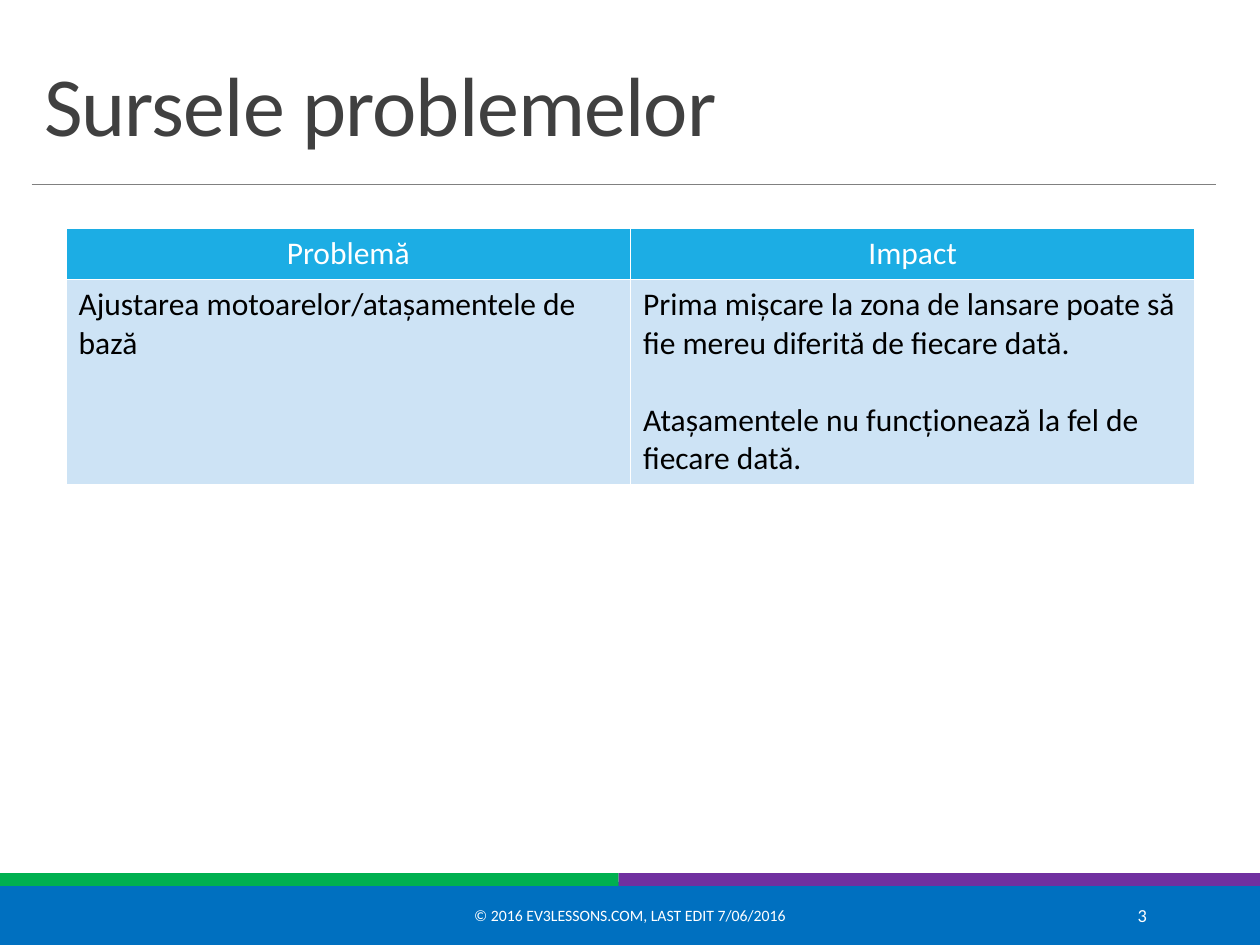
import pptx
import pptx.util
import pptx.dml.color
import pptx.enum.shapes
import pptx.enum.text
import pptx.oxml
import pptx.oxml.ns
from lxml import etree

Pt = pptx.util.Pt
ALIGN = pptx.enum.text.PP_ALIGN
ANCHOR = pptx.enum.text.MSO_ANCHOR

# Content
TITLE = "Sursele problemelor"
ROWS = [
    [["Problemă"], ["Impact"]],
    [["Ajustarea motoarelor/atașamentele de bază"],
     ["Prima mișcare la zona de lansare poate să fie mereu diferită de fiecare dată.",
      "Atașamentele nu funcționează la fel de fiecare dată."]],
]
# Row styles: fill, text colour, alignment, height
ROW_STYLES = [("1CADE4", "FFFFFF", ALIGN.CENTER, 29.2),
              ("CDE3F5", "000000", ALIGN.LEFT, 117.5)]
# Bars: left, top, width, height, colour
BARS = [(0, 504, 720, 36, "0070C0"),
        (0, 499, 353.5, 7.2, "00B050"),
        (353.5, 499, 366.5, 7.2, "7030A0")]
# Footers: text, left, width, size, alignment
FOOTERS = [("© 2016 EV3LESSONS.COM, LAST EDIT 7/06/2016", 217.4, 285.1, 9, ALIGN.CENTER),
           ("3", 584.6, 77.8, 10.5, ALIGN.RIGHT)]
PARAGRAPH_GAP = 22


def color(value):
    return pptx.dml.color.RGBColor.from_string(value)


def points(*lengths):
    return [Pt(length) for length in lengths]


def write(frame, texts, size, ink, align, gap=0):
    """Fill a text frame with one paragraph for each text."""
    for index, text in enumerate(texts):
        para = frame.add_paragraph() if index else frame.paragraphs[0]
        span = para.add_run()
        formats = {"text": text, "font.size": Pt(size), "font.name": "Calibri"}
        for name, value in formats.items():
            target = span.font if name.startswith("font.") else span
            setattr(target, name.replace("font.", ""), value)
        span.font.color.rgb = color(ink)
        para.alignment = align
        if index:
            para.space_before = Pt(gap)


def set_borders(cell, ink, width):
    properties = cell._tc.get_or_add_tcPr()
    for position, side in enumerate(("lnL", "lnR", "lnT", "lnB")):
        border = pptx.oxml.parse_xml(
            f'<a:{side} {pptx.oxml.ns.nsdecls("a")} w="{Pt(width)}"><a:solidFill>'
            f'<a:srgbClr val="{ink}"/></a:solidFill></a:{side}>')
        properties.insert(position, border)


deck = pptx.Presentation()
deck.slide_width, deck.slide_height = points(720, 540)
page = deck.slides.add_slide(deck.slide_layouts[5])

# Bottom bars
for left, top, width, height, fill in BARS:
    bar = page.shapes.add_shape(pptx.enum.shapes.MSO_SHAPE.RECTANGLE,
                                *points(left, top, width, height))
    bar.shadow.inherit = False
    bar.fill.solid()
    bar.fill.fore_color.rgb = color(fill)
    bar.line.fill.background()

# Rule below the title
rule = page.shapes.add_connector(pptx.enum.shapes.MSO_CONNECTOR.STRAIGHT,
                                 *points(18, 105.4, 694.8, 105.4))
rule.line.color.rgb = color("808080")
rule.line.width = Pt(0.5)
etree.SubElement(rule._element.spPr, pptx.oxml.ns.qn("a:effectLst"))

# Title
title = page.shapes.title
title.left, title.top, title.width, title.height = points(18, 22.3, 676.8, 69.1)
title.text_frame.vertical_anchor = ANCHOR.BOTTOM
write(title.text_frame, [TITLE], 48, "404040", ALIGN.LEFT)
heading = title.text_frame.paragraphs[0]
heading.line_spacing = 0.85
heading.runs[0]._r.get_or_add_rPr().set("spc", "-50")

# Table
heights = [style[3] for style in ROW_STYLES]
table = page.shapes.add_table(len(ROWS), len(ROWS[0]),
                              *points(37.8, 130.5, 645, sum(heights))).table
for row, texts, (fill, ink, align, height) in zip(table.rows, ROWS, ROW_STYLES):
    row.height = Pt(height)
    for cell, lines in zip(row.cells, texts):
        write(cell.text_frame, lines, 18, ink, align, PARAGRAPH_GAP)
        for span in (span for para in cell.text_frame.paragraphs for span in para.runs):
            span.font.bold = False
        cell.fill.solid()
        cell.fill.fore_color.rgb = color(fill)
        set_borders(cell, "FFFFFF", 1)

# Footers
for text, left, width, size, align in FOOTERS:
    box = page.shapes.add_textbox(*points(left, 508.6, width, 28.8))
    box.text_frame.word_wrap = True
    box.text_frame.vertical_anchor = ANCHOR.MIDDLE
    write(box.text_frame, [text], size, "FFFFFF", align)

deck.save("out.pptx")
